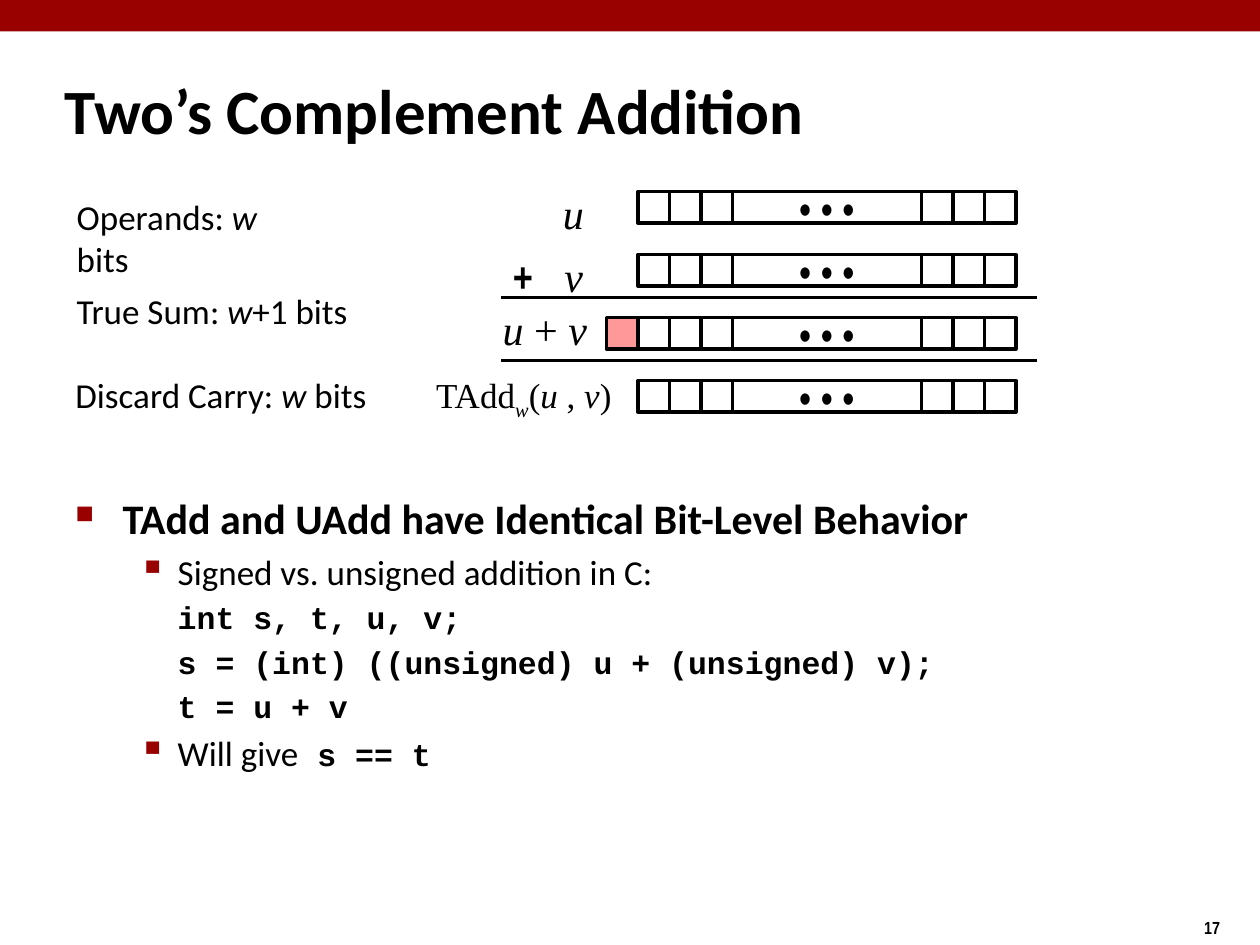
"""Build the slide on two's complement addition with its bit-row diagram."""
from dataclasses import dataclass
from typing import Any

from lxml.etree import SubElement
from pptx import Presentation
from pptx.dml.color import RGBColor
from pptx.enum.shapes import MSO_CONNECTOR, MSO_SHAPE
from pptx.enum.text import MSO_ANCHOR, MSO_AUTO_SIZE, PP_ALIGN
from pptx.oxml.ns import qn
from pptx.util import Pt


@dataclass(frozen=True)
class Theme:
    black: RGBColor = RGBColor(0x00, 0x00, 0x00)
    white: RGBColor = RGBColor(0xFF, 0xFF, 0xFF)
    red: RGBColor = RGBColor(0x99, 0x00, 0x00)
    pink: RGBColor = RGBColor(0xFF, 0x99, 0x99)
    sans: str = "Calibri"
    narrow: str = "Arial Narrow"
    serif: str = "Times New Roman"
    mono: str = "Courier New"
    title: float = 36
    large: float = 24
    text: float = 20
    code: float = 18
    small: float = 10
    stroke: float = 2


@dataclass(frozen=True)
class Style:
    face: str
    size: float
    bold: bool = False
    slant: bool = False
    base: int = 0


@dataclass(frozen=True)
class Run:
    text: str
    style: Style


@dataclass(frozen=True)
class Label:
    box: tuple[float, float, float, float]
    runs: tuple[Run, ...]
    align: PP_ALIGN = PP_ALIGN.LEFT
    wrap: bool = False
    grow: bool = True


@dataclass(frozen=True)
class Item:
    runs: tuple[Run, ...]
    level: int
    left: float
    hang: float
    gap: float
    mark: str = ""
    scale: int = 100


@dataclass(frozen=True)
class Row:
    top: float
    carry: bool = False


THEME = Theme()
HEAD = Style(THEME.sans, THEME.title, bold=True)
LEAD = Style(THEME.sans, THEME.large, bold=True)
TEXT = Style(THEME.sans, THEME.text)
TILT = Style(THEME.sans, THEME.text, slant=True)
CODE = Style(THEME.mono, THEME.code, bold=True)
DOTS = Style(THEME.narrow, THEME.large)
PLUS = Style(THEME.narrow, THEME.large, bold=True)
PAGE = Style(THEME.narrow, THEME.small, bold=True)
MATH = Style(THEME.serif, THEME.large)
VAR = Style(THEME.serif, THEME.large, slant=True)
FUNC = Style(THEME.serif, THEME.text)
ARG = Style(THEME.serif, THEME.text, slant=True)
SUB = Style(THEME.serif, THEME.text, slant=True, base=-25000)

CELL = 18
WIDE = 6 * CELL
LEFT = 364.5
TOP = 109.5
STEP = 36
ROWS = [Row(TOP + i * STEP, carry=i == 2) for i in range(4)]
RULES = [TOP + 60.5 + i * STEP for i in range(2)]


def width_note(name: str, rest: str) -> tuple[Run, ...]:
    return Run(name, TEXT), Run("w", TILT), Run(rest, TEXT)


LABELS = [
    Label((681, 520.5, 54, 19.5), (Run("17", PAGE),)),
    Label((314.5, 103.5, 26, 36), (Run("u", VAR),)),
    Label((315.5, 139.5, 24.5, 36), (Run("v", VAR),)),
    Label((286, 139.5, 26, 36), (Run("+", PLUS),)),
    Label((280, 170, 62.5, 36), (Run("u ", VAR), Run("+ ", MATH), Run("v", VAR)),
          PP_ALIGN.RIGHT),
    Label((36.75, 162, 169, 31), width_note("True Sum: ", "+1 bits")),
    Label((36.75, 108, 151, 31), width_note("Operands: ", " bits")),
    Label((36, 210, 234, 31), width_note("Discard Carry: ", " bits"), wrap=True),
    Label((242, 210, 114.5, 34.5),
          (Run("TAdd", FUNC), Run("w", SUB), Run("(", FUNC), Run("u", ARG),
           Run(" , ", FUNC), Run("v", ARG), Run(")", FUNC)), PP_ALIGN.RIGHT),
]


def point(*runs: Run) -> Item:
    return Item(runs, 1, 58.5, -22.5, 4, "▪", 110)


ITEMS = [
    Item((Run("TAdd and UAdd have Identical Bit-Level Behavior", LEAD),),
         0, 27, -27, 0, "■", 60),
    point(Run("Signed vs. unsigned addition in C:", TEXT)),
    *(Item((Run(line, CODE),), 1, 58.5, 0, 3.6) for line in (
        "int s, t, u, v;",
        "s = (int) ((unsigned) u + (unsigned) v);",
        "t = u + v")),
    point(Run("Will give", TEXT), Run(" s == t", CODE)),
]


def write(para: Any, runs: tuple[Run, ...]) -> None:
    for part in runs:
        run = para.add_run()
        run.text = part.text
        font, style = run.font, part.style
        font.name, font.size = style.face, Pt(style.size)
        font.bold, font.italic = style.bold, style.slant
        font.color.rgb = THEME.black
        if style.base:
            run._r.get_or_add_rPr().set("baseline", str(style.base))


def draw_label(shapes: Any, label: Label) -> Any:
    frame = shapes.add_textbox(*map(Pt, label.box)).text_frame
    frame.word_wrap = label.wrap
    frame.auto_size = MSO_AUTO_SIZE.SHAPE_TO_FIT_TEXT if label.grow else MSO_AUTO_SIZE.NONE
    para = frame.paragraphs[0]
    para.alignment = label.align
    write(para, label.runs)
    return frame


def draw_rect(shapes: Any, box: tuple[float, ...], fill: RGBColor, edge: bool = True) -> Any:
    rect = shapes.add_shape(MSO_SHAPE.RECTANGLE, *map(Pt, box))
    rect.shadow.inherit = False
    rect.fill.solid()
    rect.fill.fore_color.rgb = fill
    if edge:
        rect.line.color.rgb = THEME.black
        rect.line.width = Pt(THEME.stroke)
    else:
        rect.line.fill.background()
    return rect


def draw_row(shapes: Any, row: Row) -> None:
    group = shapes.add_group_shape().shapes
    for start in (LEFT, LEFT + 3 * CELL + WIDE):
        for i in range(3):
            draw_rect(group, (start + i * CELL, row.top, CELL, CELL), THEME.white)
    frame = draw_rect(group, (LEFT + 3 * CELL, row.top, WIDE, CELL), THEME.white).text_frame
    frame.word_wrap = False
    frame.vertical_anchor = MSO_ANCHOR.MIDDLE
    frame.paragraphs[0].alignment = PP_ALIGN.CENTER
    write(frame.paragraphs[0], (Run("• • •", DOTS),))
    if row.carry:
        draw_rect(group, (LEFT - CELL, row.top, CELL, CELL), THEME.pink)


def draw_rule(shapes: Any, y: float) -> None:
    rule = shapes.add_connector(MSO_CONNECTOR.STRAIGHT, Pt(286.5), Pt(y), Pt(592.5), Pt(y))
    rule.line.color.rgb = THEME.black
    rule.line.width = Pt(THEME.stroke)
    SubElement(rule._element.spPr, qn("a:effectLst"))


def add_item(para: Any, item: Item) -> None:
    para.level = item.level
    para.space_before = Pt(item.gap)
    props = para._p.get_or_add_pPr()
    props.set("marL", str(Pt(item.left)))
    props.set("indent", str(Pt(item.hang)))
    if item.mark:
        tint = SubElement(props, qn("a:buClr"))
        SubElement(tint, qn("a:srgbClr"), val=str(THEME.red))
        SubElement(props, qn("a:buSzPct"), val=str(item.scale * 1000))
        SubElement(props, qn("a:buChar"), char=item.mark)
    write(para, item.runs)


def main() -> None:
    deck = Presentation()
    deck.slide_width, deck.slide_height = Pt(720), Pt(540)
    shapes = deck.slides.add_slide(deck.slide_layouts[6]).shapes
    draw_rect(shapes, (0, 0, 720, 18), THEME.red, edge=False)
    title = Label((30, 40.5, 588, 44), (Run("Two’s Complement Addition", HEAD),),
                  wrap=True, grow=False)
    draw_label(shapes, title).vertical_anchor = MSO_ANCHOR.MIDDLE
    body = draw_label(shapes, Label((36, 278, 623.5, 176.5), (), wrap=True, grow=False))
    for i, item in enumerate(ITEMS):
        add_item(body.add_paragraph() if i else body.paragraphs[0], item)
    for row in ROWS:
        draw_row(shapes, row)
    for y in RULES:
        draw_rule(shapes, y)
    for label in LABELS:
        draw_label(shapes, label)
    deck.save("out.pptx")


if __name__ == "__main__":
    main()
